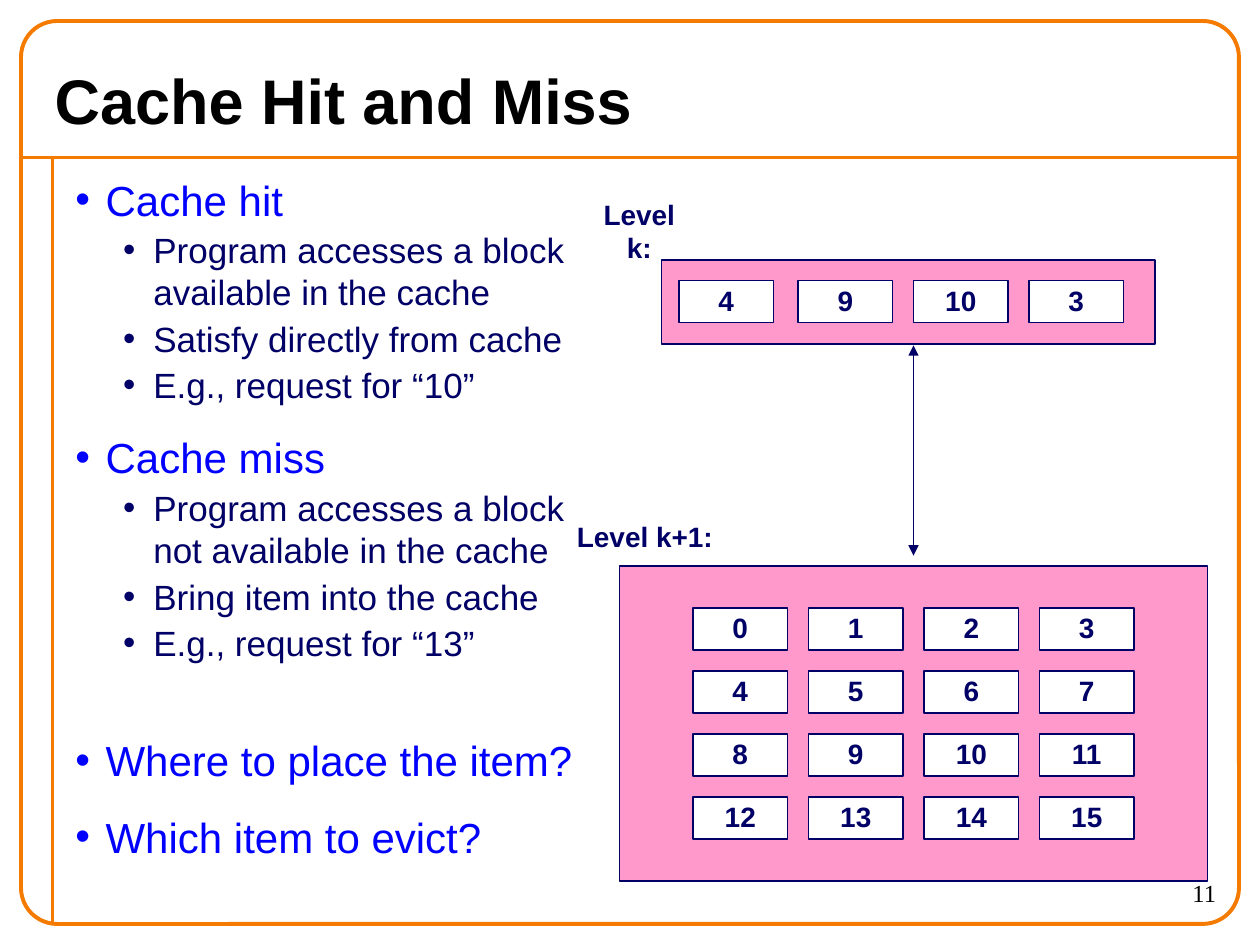
from dataclasses import dataclass
from lxml.etree import SubElement
from pptx import Presentation
from pptx.dml.color import RGBColor
from pptx.enum.shapes import MSO_CONNECTOR as Connector, MSO_SHAPE as Shape
from pptx.enum.text import MSO_ANCHOR as Anchor, MSO_AUTO_SIZE as AutoSize, PP_ALIGN as Align
from pptx.oxml.ns import qn
from pptx.util import Pt

COLORS = {
    "frame": "F47A00",
    "black": "000000",
    "white": "FFFFFF",
    "topic": "0000FF",
    "navy": "000066",
    "cache": "FF99CC",
}


@dataclass
class Bullet:
    text: str
    level: int = 0
    before: float = 15


@dataclass
class Area:
    left: float
    top: float
    width: float
    height: float

    def points(self) -> list:
        return [Pt(v) for v in (self.left, self.top, self.width, self.height)]


BULLETS = [
    Bullet("Cache hit", before=0),
    Bullet("Program accesses a block available in the cache", 1, 2.5),
    Bullet("Satisfy directly from cache", 1, 2.5),
    Bullet("E.g., request for “10”", 1, 2.5),
    Bullet("Cache miss"),
    Bullet("Program accesses a block not available in the cache", 1, 2.5),
    Bullet("Bring item into the cache", 1, 2.5),
    Bullet("E.g., request for “13”", 1, 2.5),
    Bullet("Where to place the item?", before=40.5),
    Bullet("Which item to evict?"),
]
CELL_WIDTH, CELL_HEIGHT = 54, 24
UPPER_CELLS = {"4": 388, "9": 456, "10": 522, "3": 588}


def color(name: str) -> RGBColor:
    return RGBColor.from_string(COLORS[name])


def write(para, text: str, size=16, ink="navy", bold=False, font="Arial",
          align=Align.LEFT, spacing=None) -> None:
    para.alignment = align
    if spacing:
        para.line_spacing = spacing
    span = para.add_run()
    span.text = text
    span.font.name = font
    span.font.size = Pt(size)
    span.font.bold = bold
    span.font.color.rgb = color(ink)


def add_box(page, area: Area, fill=None, line="navy", weight=1, kind=Shape.RECTANGLE):
    box = page.shapes.add_shape(kind, *area.points())
    box.shadow.inherit = False
    if fill:
        box.fill.solid()
        box.fill.fore_color.rgb = color(fill)
    else:
        box.fill.background()
    box.line.color.rgb = color(line)
    box.line.width = Pt(weight)
    return box


def add_line(page, start: tuple, end: tuple, ink="frame", weight=2.25, arrows=False) -> None:
    ends = [Pt(v) for v in (*start, *end)]
    line = page.shapes.add_connector(Connector.STRAIGHT, *ends)
    line.line.color.rgb = color(ink)
    line.line.width = Pt(weight)
    if arrows:
        stroke = line.line._get_or_add_ln()
        for tag in ("a:headEnd", "a:tailEnd"):
            SubElement(stroke, qn(tag), type="triangle")
    SubElement(line._element.spPr, qn("a:effectLst"))


def add_cell(page, text: str, left: float, top: float) -> None:
    box = add_box(page, Area(left, top, CELL_WIDTH, CELL_HEIGHT), "white")
    frame = box.text_frame
    frame.word_wrap = False
    frame.vertical_anchor = Anchor.MIDDLE
    write(frame.paragraphs[0], text, bold=True, align=Align.CENTER, spacing=0.98)


def add_text(page, area: Area, text: str, wrap=False, anchor=Anchor.MIDDLE, **style) -> None:
    frame = page.shapes.add_textbox(*area.points()).text_frame
    frame.word_wrap = wrap
    frame.vertical_anchor = anchor
    write(frame.paragraphs[0], text, **style)


def add_bullets(page, area: Area, bullets: list[Bullet]) -> None:
    frame = page.shapes.add_textbox(*area.points()).text_frame
    frame.word_wrap = True
    for index, bullet in enumerate(bullets):
        para = frame.add_paragraph() if index else frame.paragraphs[0]
        ink, size, margin = (("topic", 24, 17.25), ("navy", 20, 44.5))[bullet.level]
        para.level = bullet.level
        para.space_before = Pt(bullet.before)
        props = para._p.get_or_add_pPr()
        props.set("marL", str(Pt(margin)))
        props.set("indent", str(-Pt(17.25)))
        tint = SubElement(props, qn("a:buClr"))
        SubElement(tint, qn("a:srgbClr"), val=COLORS[ink])
        SubElement(props, qn("a:buFont"), typeface="Arial")
        SubElement(props, qn("a:buChar"), char="•")
        write(para, bullet.text, size=size, ink=ink)


def add_title(page, area: Area, text: str) -> None:
    title = page.shapes.title
    title.left, title.top, title.width, title.height = area.points()
    frame = title.text_frame
    frame.word_wrap = True
    frame.auto_size = AutoSize.NONE
    frame.vertical_anchor = Anchor.MIDDLE
    write(frame.paragraphs[0], text, size=36, ink="black", bold=True)


def main() -> None:
    deck = Presentation()
    deck.slide_width, deck.slide_height = Pt(720), Pt(540)
    page = deck.slides.add_slide(deck.slide_layouts[5])

    add_line(page, (12, 90), (708, 90))
    add_line(page, (30, 90), (30, 528))
    border = add_box(page, Area(12, 12, 696, 516), line="frame", weight=2.25,
                     kind=Shape.ROUNDED_RECTANGLE)
    border.adjustments[0] = 0.04
    add_title(page, Area(24, 30, 672, 54), "Cache Hit and Miss")
    add_text(page, Area(630, 498, 72, 30), "11", wrap=True, anchor=Anchor.TOP, size=14,
             ink="black", font="Times New Roman", align=Align.RIGHT)
    add_bullets(page, Area(36, 96, 300, 432), BULLETS)

    label = {"bold": True, "align": Align.CENTER, "spacing": 0.98}
    add_text(page, Area(328.5, 119.5, 73.5, 26), "Level k:", **label)
    add_box(page, Area(378, 148.5, 282, 48), "cache")
    for text, left in UPPER_CELLS.items():
        add_cell(page, text, left, 160.3)

    add_line(page, (522, 197.3), (522, 317.5), "navy", 1, arrows=True)

    add_text(page, Area(322.5, 294, 92, 26), "Level k+1:", **label)
    add_box(page, Area(354, 323.5, 336, 180), "cache")
    for number in range(16):
        row, column = divmod(number, 4)
        add_cell(page, str(number), 396 + 66 * column, 347.3 + 36 * row)

    deck.save("out.pptx")


if __name__ == "__main__":
    main()
